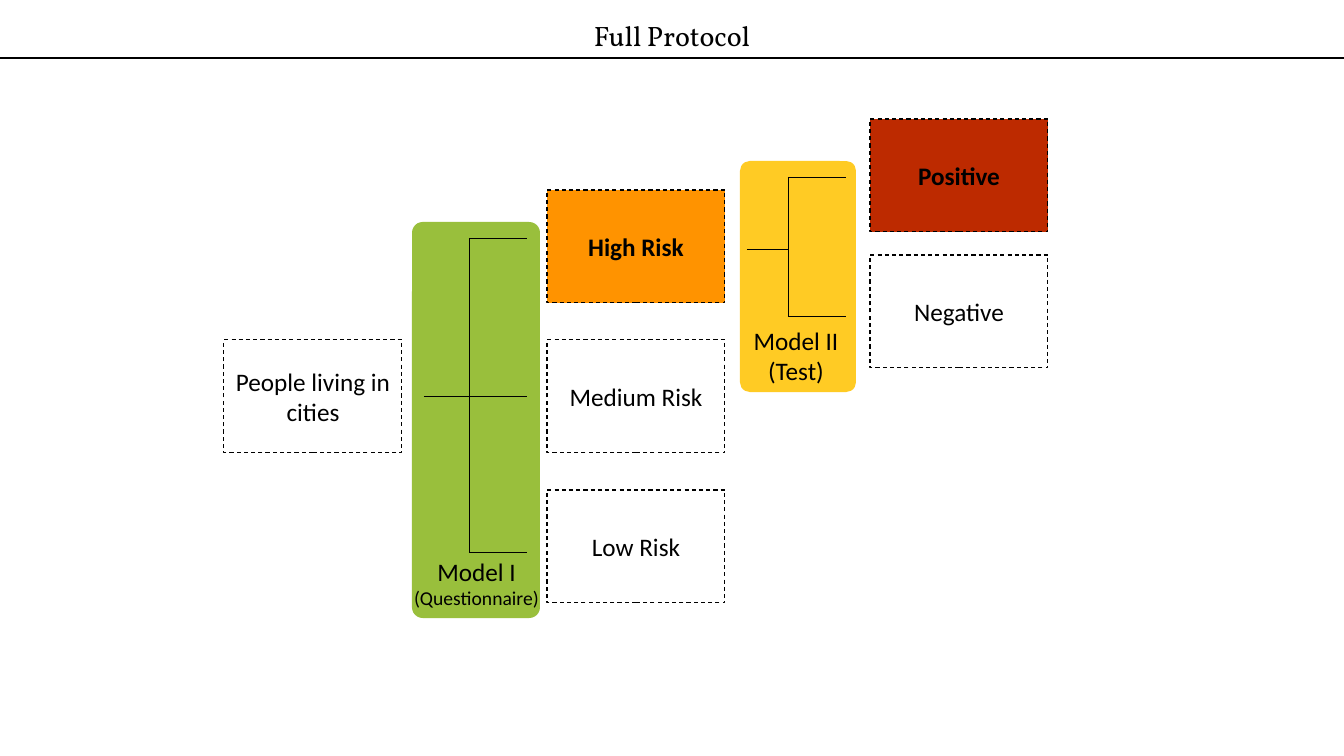
from lxml import etree
from pptx import Presentation
from pptx import util as u
from pptx.dml.color import RGBColor
from pptx.enum import dml, shapes, text
from pptx.oxml.ns import qn

PX = 914400 / 100.8
W, H = 1344, 756
BOX_W, BOX_H = 178, 113
COLORS = {
    "ink": "000000",
    "plain": "FFFFFF",
    "high": "FF9300",
    "positive": "BD2A00",
    "questionnaire": "99BF3C",
    "test": "FFCB24",
}
BODY = {"name": "Calibri", "size": u.Pt(18)}
BOLD = {**BODY, "bold": True}
SMALL = {**BODY, "size": u.Pt(14)}
TITLE = {"name": "Vollkorn", "size": u.Pt(20)}


def px(*lengths):
    return [u.Emu(round(n * PX)) for n in lengths]


def rgb(name):
    return RGBColor.from_string(COLORS[name])


def write(tf, lines):
    for i, (words, fmt) in enumerate(lines):
        p = tf.add_paragraph() if i else tf.paragraphs[0]
        p.alignment = text.PP_ALIGN.CENTER
        r = p.add_run()
        r.text = words
        for key, value in fmt.items():
            setattr(r.font, key, value)
        r.font.color.rgb = rgb("ink")


def add_label(s, box, lines):
    tf = s.shapes.add_textbox(*px(*box)).text_frame
    tf.word_wrap = False
    tf.auto_size = text.MSO_AUTO_SIZE.SHAPE_TO_FIT_TEXT
    write(tf, lines)


def add_block(s, kind, box, color):
    sp = s.shapes.add_shape(kind, *px(*box))
    sp.shadow.inherit = False
    sp.fill.solid()
    sp.fill.fore_color.rgb = rgb(color)
    sp.line.fill.background()
    return sp


def add_line(s, x1, y1, x2, y2, width=0.5):
    line = s.shapes.add_connector(shapes.MSO_CONNECTOR.STRAIGHT, *px(x1, y1, x2, y2))
    line.line.color.rgb = rgb("ink")
    line.line.width = u.Pt(width)
    etree.SubElement(line._element.spPr, qn("a:effectLst"))


def add_group(s, x, y, words, color="plain", fmt=BODY):
    sp = add_block(s, shapes.MSO_SHAPE.RECTANGLE, (x, y, BOX_W, BOX_H), color)
    sp.line.color.rgb = rgb("ink")
    sp.line.width = u.Pt(0.75)
    sp.line.dash_style = dml.MSO_LINE.DASH
    tf = sp.text_frame
    tf.word_wrap = True
    tf.vertical_anchor = text.MSO_ANCHOR.MIDDLE
    write(tf, [(words, fmt)])


def add_model(s, box, color, root, trunk, stem, branches, label, lines):
    x, y, w, h = box
    sp = add_block(s, shapes.MSO_SHAPE.ROUNDED_RECTANGLE, box, color)
    sp.adjustments[0] = 0.084
    trunk_x = x + trunk
    add_line(s, x + root, y + stem, trunk_x, y + stem)
    add_line(s, trunk_x, y + branches[0], trunk_x, y + branches[-1])
    for branch in branches:
        add_line(s, trunk_x, y + branch, trunk_x + 58, y + branch)
    dx, dy, label_w, label_h = label
    add_label(s, (x + dx, y + dy, label_w, label_h), lines)


def add_header(s, box):
    x, y, w, h = box
    add_line(s, x, y + h, x + w, y + h, 1)
    add_label(s, (x + (w - 181) / 2, y + h - 44, 181, 44), [("Full Protocol", TITLE)])


def add_protocol(s, x, y):
    add_model(s, (x + 516, y + 42, 116, 231), "test", 7, 48, 88, (16, 155),
              (0, 159, 112, 72), [("Model II", BODY), ("(Test)", BODY)])
    add_model(s, (x + 188, y + 103, 128, 396), "questionnaire", 12, 57, 174,
              (16, 174, 330), (-10, 329, 149, 65),
              [("Model I", BODY), ("(Questionnaire)", SMALL)])
    add_group(s, x, y + 221, "People living in cities")
    risks = [("High Risk", "high", BOLD), ("Medium Risk", "plain", BODY),
             ("Low Risk", "plain", BODY)]
    for i, risk in enumerate(risks):
        add_group(s, x + 323, y + 71 + 150 * i, *risk)
    results = [("Positive", "positive", BOLD), ("Negative", "plain", BODY)]
    for i, result in enumerate(results):
        add_group(s, x + 646, y + 136 * i, *result)


def main():
    prs = Presentation()
    prs.slide_width, prs.slide_height = px(W, H)
    s = prs.slides.add_slide(prs.slide_layouts[6])
    add_header(s, (0, 0, W, 58))
    add_protocol(s, 224, 119)
    prs.save("out.pptx")


if __name__ == "__main__":
    main()
